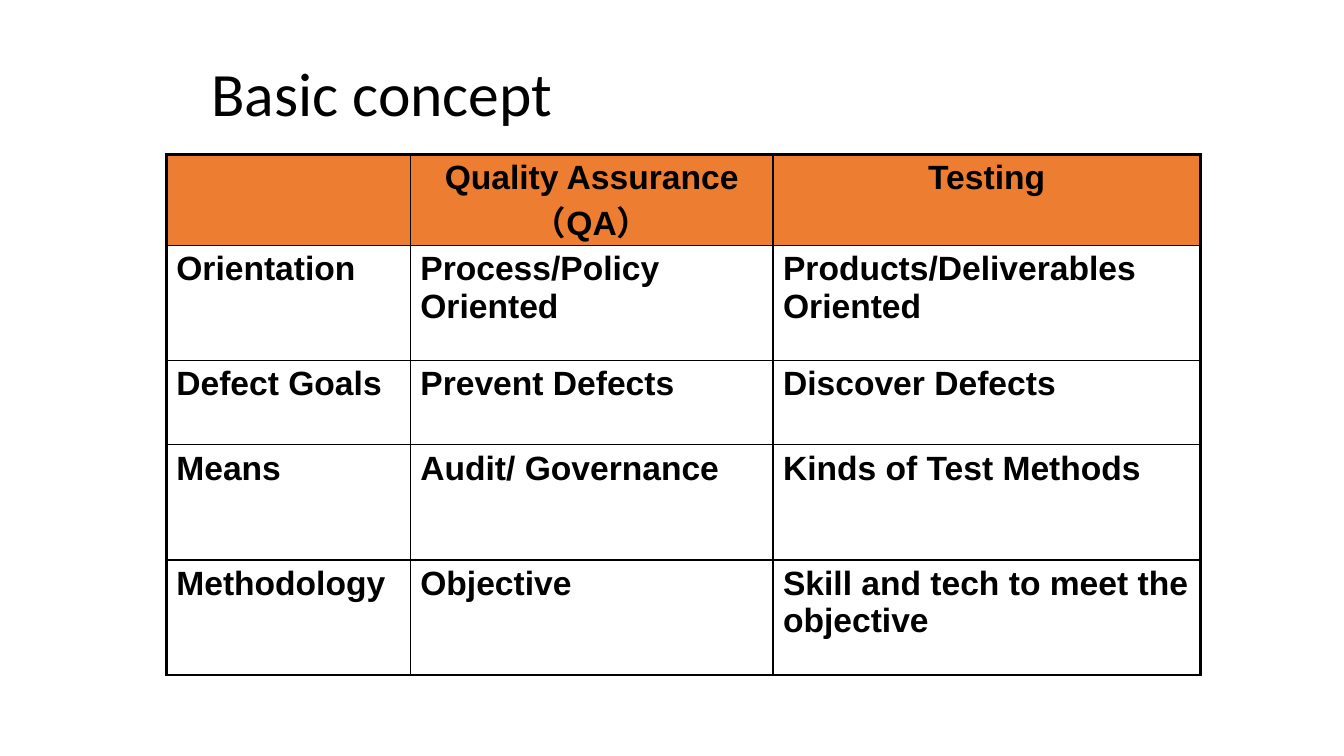
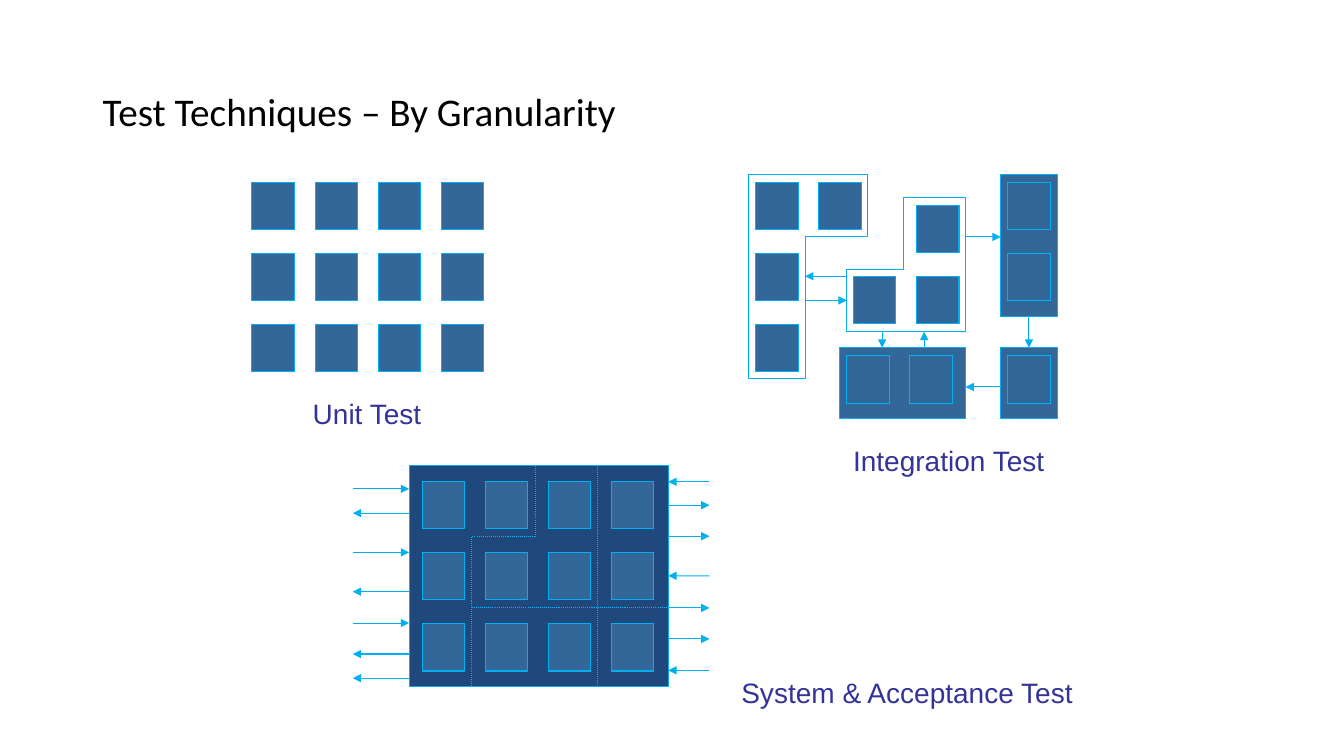
from itertools import product

from lxml import etree
from pptx import Presentation
from pptx.dml.color import RGBColor
from pptx.enum import dml, shapes, text
from pptx.oxml.ns import qn
from pptx.util import Cm, Pt

BLACK = RGBColor(0x00, 0x00, 0x00)
ORANGE = RGBColor(0xED, 0x7D, 0x31)
STEEL = RGBColor(0x33, 0x66, 0x99)
NAVY = RGBColor(0x1F, 0x49, 0x7D)
CYAN = RGBColor(0x00, 0xB0, 0xF0)
INDIGO = RGBColor(0x33, 0x33, 0x99)

UNIT_W, UNIT_H = 1.07, 1.19
PITCH_X, PITCH_Y = 1.59, 1.79
FULL_GRID = list(product(range(4), range(3)))


def put_text(tf, content, font="Arial", size=20, color=BLACK, bold=False,
             align=text.PP_ALIGN.LEFT, spacing=1.0):
    p = tf.paragraphs[0]
    p.alignment = align
    p.line_spacing = spacing
    r = p.add_run()
    r.text = content
    r.font.name = font
    r.font.size = Pt(size)
    r.font.bold = bold
    r.font.color.rgb = color


class Deck:
    line_width = Pt(0.75)
    thin, thick = Pt(1), Pt(2.25)

    def __init__(self):
        self.prs = Presentation()
        self.prs.slide_width = Cm(33.87)
        self.prs.slide_height = Cm(19.05)
        self.s = None

    def slide(self, title, box, size):
        self.s = self.prs.slides.add_slide(self.prs.slide_layouts[6])
        tf = self.text_frame(*box)
        tf.vertical_anchor = text.MSO_ANCHOR.MIDDLE
        put_text(tf, title, font="Calibri", size=size, spacing=0.9)

    def text_frame(self, x, y, w, h):
        tf = self.s.shapes.add_textbox(Cm(x), Cm(y), Cm(w), Cm(h)).text_frame
        tf.word_wrap = True
        return tf

    def label(self, content, x, y, w):
        tf = self.text_frame(x, y, w, 1.07)
        tf.margin_left = tf.margin_right = Cm(0.23)
        tf.margin_top = tf.margin_bottom = Cm(0.1)
        put_text(tf, content, color=INDIGO, align=text.PP_ALIGN.CENTER)

    def stroke(self, sp, dotted=False):
        sp.line.color.rgb = CYAN
        sp.line.width = self.line_width
        if dotted:
            sp.line.dash_style = dml.MSO_LINE.ROUND_DOT

    def rect(self, x, y, w, h, color=STEEL):
        sp = self.s.shapes.add_shape(shapes.MSO_SHAPE.RECTANGLE,
                                     Cm(x), Cm(y), Cm(w), Cm(h))
        sp.shadow.inherit = False
        sp.fill.solid()
        sp.fill.fore_color.rgb = color
        self.stroke(sp)
        return sp

    def units(self, x, y, cells):
        for col, row in cells:
            self.rect(x + col * PITCH_X, y + row * PITCH_Y, UNIT_W, UNIT_H)

    def outline(self, points, closed=True, dotted=False):
        pts = [(Cm(x), Cm(y)) for x, y in points]
        fb = self.s.shapes.build_freeform(*pts[0])
        fb.add_line_segments(pts[1:], close=closed)
        sp = fb.convert_to_shape()
        sp.shadow.inherit = False
        sp.fill.background()
        self.stroke(sp, dotted)

    def line(self, x1, y1, x2, y2, arrow=True, dotted=False,
             begin=None, end=None):
        sp = self.s.shapes.add_connector(shapes.MSO_CONNECTOR.STRAIGHT,
                                         Cm(x1), Cm(y1), Cm(x2), Cm(y2))
        if begin:
            sp.begin_connect(*begin)
        if end:
            sp.end_connect(*end)
        self.stroke(sp, dotted)
        spPr = sp._element.spPr
        if arrow:
            etree.SubElement(spPr.find(qn("a:ln")), qn("a:tailEnd"),
                             type="triangle")
        etree.SubElement(spPr, qn("a:effectLst"))

    def borders(self, cell, outer):
        tcPr = cell._tc.get_or_add_tcPr()
        for side in "LRTB":
            width = self.thick if side in outer else self.thin
            ln = etree.SubElement(tcPr, qn(f"a:ln{side}"), w=str(int(width)))
            fill = etree.SubElement(ln, qn("a:solidFill"))
            etree.SubElement(fill, qn("a:srgbClr"), val=str(BLACK))

    def table(self, x, y, widths, heights, rows):
        tbl = self.s.shapes.add_table(len(heights), len(widths), Cm(x), Cm(y),
                                      Cm(sum(widths)), Cm(sum(heights))).table
        tbl.first_row = tbl.horz_banding = False
        for column, w in zip(tbl.columns, widths):
            column.width = Cm(w)
        for row, h in zip(tbl.rows, heights):
            row.height = Cm(h)
        last_row, last_col = len(heights) - 1, len(widths) - 1
        for i, row in enumerate(rows):
            for j, content in enumerate(row):
                cell = tbl.cell(i, j)
                edges = {"L": j == 0, "R": j == last_col,
                         "T": i == 0, "B": i == last_row}
                self.borders(cell, [k for k, on in edges.items() if on])
                if i == 0:
                    cell.fill.solid()
                    cell.fill.fore_color.rgb = ORANGE
                else:
                    cell.fill.background()
                if content:
                    align = text.PP_ALIGN.LEFT if i else text.PP_ALIGN.CENTER
                    put_text(cell.text_frame, content, size=24, bold=True,
                             align=align)


def concept_slide(d):
    d.slide("Basic concept", (5.08, 1.27, 22.86, 2.34), 44)
    d.table(4.19, 3.89, [6.15, 9.14, 10.77], [2.29, 2.9, 2.13, 2.9, 2.9], [
        ["", "Quality Assurance （QA）", "Testing"],
        ["Orientation", "Process/Policy Oriented",
         "Products/Deliverables Oriented"],
        ["Defect Goals", "Prevent Defects", "Discover Defects"],
        ["Means", "Audit/ Governance", "Kinds of Test Methods"],
        ["Methodology", "Objective", "Skill and tech to meet the objective"],
    ])


def integration_diagram(d):
    corner = d.rect(25.22, 8.76, 1.42, 1.79)
    tall = d.rect(25.22, 4.39, 1.42, 3.58)
    d.rect(21.16, 8.76, 3.18, 1.79)
    d.units(19.05, 4.59, [(0, 0), (1, 0), (0, 1), (0, 2)])
    d.units(21.51, 5.18, [(1, 0), (0, 1), (1, 1)])
    d.units(25.4, 4.59, [(0, 0), (0, 1)])
    d.units(21.34, 8.97, [(0, 0), (1, 0)])
    d.units(25.4, 8.97, [(0, 0)])
    d.outline([(21.34, 6.78), (22.76, 6.78), (22.76, 4.98), (24.33, 4.98),
               (24.33, 8.36), (21.34, 8.36)])
    d.outline([(18.87, 4.39), (21.87, 4.39), (21.87, 5.97), (20.29, 5.97),
               (20.29, 9.55), (18.87, 9.55)])
    for ends in [(21.34, 6.96, 20.29, 6.96), (20.29, 7.57, 21.34, 7.57),
                 (22.23, 8.36, 22.23, 8.76), (23.29, 8.76, 23.29, 8.36),
                 (25.22, 9.75, 24.33, 9.75), (24.33, 5.97, 25.22, 5.97)]:
        d.line(*ends)
    d.line(25.93, 7.97, 25.93, 8.76, begin=(tall, 2), end=(corner, 0))


def system_diagram(d):
    left, top, right, bottom = 10.31, 11.73, 16.84, 17.29
    far_left, far_right = 8.89, 17.88
    system = d.rect(left, top, right - left, bottom - top, NAVY)
    for x1, x2, levels in [
            (far_left, left, [12.32, 13.92, 15.7]),
            (left, far_left, [12.93, 14.91, 16.48, 17.09]),
            (far_right, right, [12.14, 16.89]),
            (right, far_right, [12.73, 13.51, 15.32, 16.1])]:
        for y in levels:
            d.line(x1, y, x2, y)
    d.line(far_right, 14.51, right, 14.51, end=(system, 3))
    d.units(10.64, 12.14, FULL_GRID)
    d.outline([(11.89, bottom), (11.89, 13.51), (13.49, 13.51), (13.49, top)],
              closed=False, dotted=True)
    d.line(11.89, 15.32, right, 15.32, arrow=False, dotted=True)
    d.line(15.06, top, 15.06, bottom, arrow=False, dotted=True)


def granularity_slide(d):
    d.slide("Test Techniques – By Granularity", (2.34, 1.02, 29.21, 3.68), 28)
    d.units(6.35, 4.59, FULL_GRID)
    integration_diagram(d)
    d.label("Unit Test", 6.43, 9.88, 5.64)
    d.label("Integration Test", 20.52, 11.07, 6.78)
    d.label("System & Acceptance Test", 17.78, 16.92, 10.16)
    system_diagram(d)


def main():
    d = Deck()
    concept_slide(d)
    granularity_slide(d)
    d.prs.save("out.pptx")


if __name__ == "__main__":
    main()
